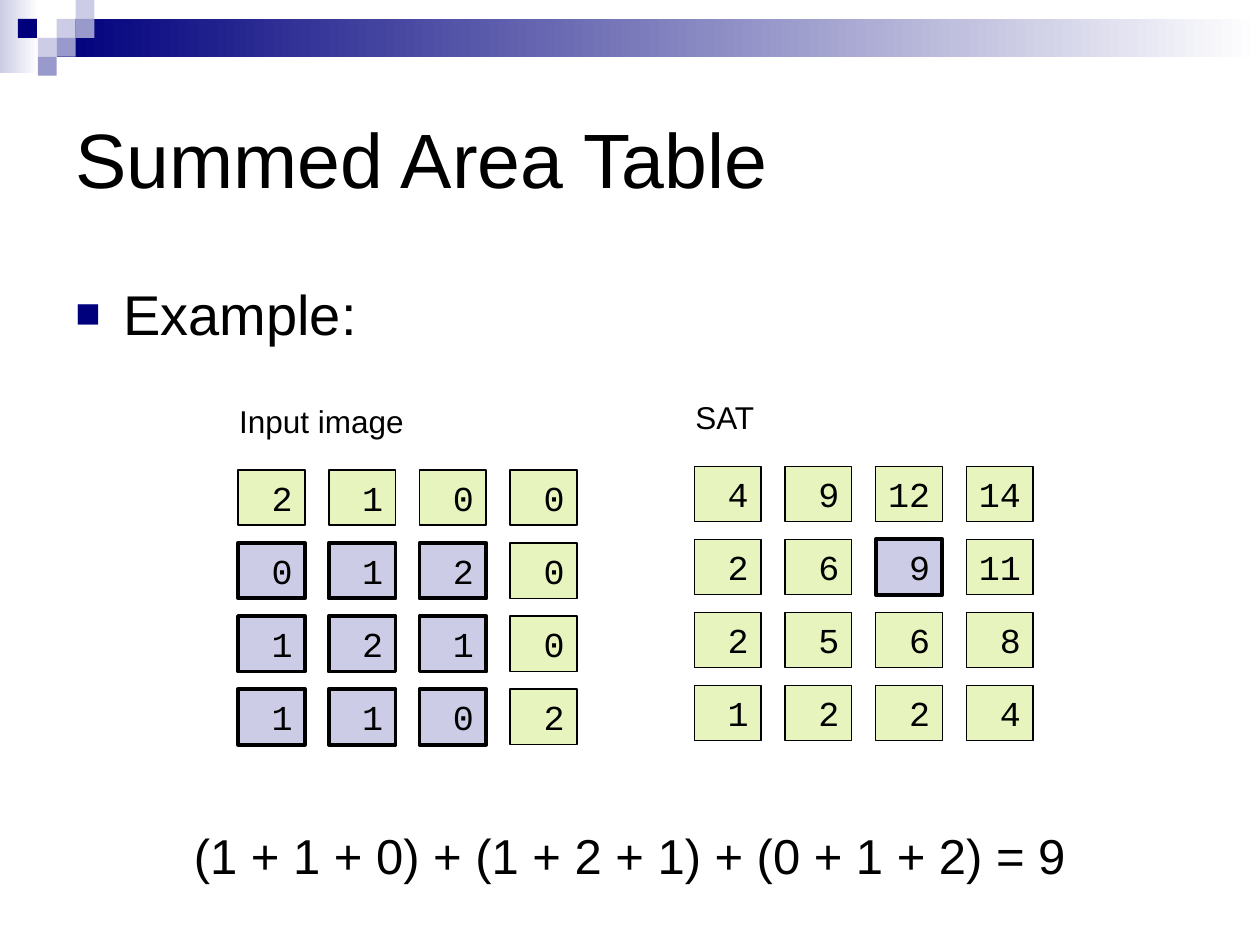
import pptx
import pptx.dml.color
import pptx.enum.shapes
import pptx.enum.text
import pptx.oxml
import pptx.oxml.ns
import pptx.util

RGB = pptx.dml.color.RGBColor
Inches = pptx.util.Inches
Pt = pptx.util.Pt
ANCHOR = pptx.enum.text.MSO_ANCHOR

BLACK = RGB(0x00, 0x00, 0x00)
WHITE = RGB(0xFF, 0xFF, 0xFF)
NAVY = RGB(0x00, 0x00, 0x7D)
LAVENDER = RGB(0xCC, 0xCC, 0xE6)
VIOLET = RGB(0x99, 0x99, 0xCC)
LIME = RGB(0xE7, 0xF4, 0xBE)

TILE = 0.15
CELL_W, CELL_H = 0.53, 0.44
COL_STEP, ROW_STEP = 0.72, 0.58

INPUT_IMAGE = [[2, 1, 0, 0], [0, 1, 2, 0], [1, 2, 1, 0], [1, 1, 0, 2]]
SUMMED_AREAS = [[4, 9, 12, 14], [2, 6, 9, 11], [2, 5, 6, 8], [1, 2, 2, 4]]
SUMMED_CELLS = {(row, col) for row in (1, 2, 3) for col in (0, 1, 2)}
RESULT_CELL = {(1, 2)}


def write(shape, text, size, font="Arial", anchor=ANCHOR.TOP, wrap=False):
    tf = shape.text_frame
    tf.word_wrap = wrap
    tf.vertical_anchor = anchor
    tf.margin_left = tf.margin_right = Inches(0.1)
    tf.margin_top = tf.margin_bottom = Inches(0.05)
    p = tf.paragraphs[0]
    p.alignment = pptx.enum.text.PP_ALIGN.LEFT
    r = p.add_run()
    r.text = text
    r.font.size = Pt(size)
    r.font.name = font
    r.font.color.rgb = BLACK
    return p


def add_text(slide, text, left, top, width, height, **fmt):
    box = slide.shapes.add_textbox(*map(Inches, (left, top, width, height)))
    return write(box, text, **fmt)


def add_rect(slide, left, top, width, height, color, fade=False, line=None):
    """Add a rectangle, optionally fading to white or outlined in black."""
    sp = slide.shapes.add_shape(pptx.enum.shapes.MSO_SHAPE.RECTANGLE,
                                *map(Inches, (left, top, width, height)))
    sp.shadow.inherit = False
    if fade:
        sp.fill.gradient()
        sp.fill.gradient_angle = 0
        for stop, rgb in zip(sp.fill.gradient_stops, (color, WHITE)):
            stop.color.rgb = rgb
    else:
        sp.fill.solid()
        sp.fill.fore_color.rgb = color
    if line:
        sp.line.color.rgb = BLACK
        sp.line.width = Pt(line)
    else:
        sp.line.fill.background()
    return sp


def add_header(slide):
    add_rect(slide, 0, 0, 0.31, 0.58, LAVENDER, fade=True)
    add_rect(slide, 3 * TILE, TILE, 10 - 3 * TILE, 2 * TILE, NAVY, fade=True)
    tiles = [(3, 1, LAVENDER), (4, 0, LAVENDER), (4, 1, VIOLET),
             (2, 2, LAVENDER), (0.95, 1, NAVY), (3, 2, VIOLET), (2, 3, VIOLET)]
    for col, row, color in tiles:
        add_rect(slide, col * TILE, row * TILE, TILE, TILE, color)


def add_matrix(slide, label, label_width, values, marked, left, top, line):
    """Add a labelled grid of number cells with the marked ones highlighted."""
    add_text(slide, label, left - 0.09, top - 0.59, label_width, 0.4, size=18)
    for i, row in enumerate(values):
        for j, value in enumerate(row):
            hit = (i, j) in marked
            cell = add_rect(slide, left + j * COL_STEP, top + i * ROW_STEP,
                            CELL_W, CELL_H, LAVENDER if hit else LIME,
                            line=2.25 if hit else line)
            write(cell, f"{value:>2}", 20, font="Courier New")


def add_bullet(p, char, color, percent, indent):
    pPr = p._p.get_or_add_pPr()
    pPr.set("marL", str(Inches(indent)))
    pPr.set("indent", str(-Inches(indent)))
    ns = pptx.oxml.ns.nsdecls("a")
    for xml in (f'<a:buClr {ns}><a:srgbClr val="{color}"/></a:buClr>',
                f'<a:buSzPct {ns} val="{percent * 1000}"/>',
                f'<a:buFont {ns} typeface="Arial"/>',
                f'<a:buChar {ns} char="{char}"/>'):
        pPr.append(pptx.oxml.parse_xml(xml))


def main():
    prs = pptx.Presentation()
    prs.slide_width, prs.slide_height = Inches(10), Inches(7.5)
    slide = prs.slides.add_slide(prs.slide_layouts.get_by_name("Title Only"))

    add_header(slide)
    title = slide.shapes.title
    title.left, title.top, title.width, title.height = map(
        Inches, (0.5, 0.5, 9, 1.5))
    write(title, "Summed Area Table", 44, anchor=ANCHOR.MIDDLE, wrap=True)

    add_matrix(slide, "Input image", 1.6, INPUT_IMAGE, SUMMED_CELLS,
               1.89, 3.73, 1)
    add_matrix(slide, "SAT", 0.7, SUMMED_AREAS, RESULT_CELL, 5.51, 3.7, 0.75)
    add_text(slide, "(1 + 1 + 0) + (1 + 2 + 1) + (0 + 1 + 2) = 9",
             1.44, 6.5, 7.12, 0.57, size=28)

    p = add_text(slide, "Example:", 0.5, 2.17, 2.64, 0.56, size=32, wrap=True)
    p.space_before = Pt(8)
    add_bullet(p, "■", NAVY, 75, 0.38)

    prs.save("out.pptx")


if __name__ == "__main__":
    main()
